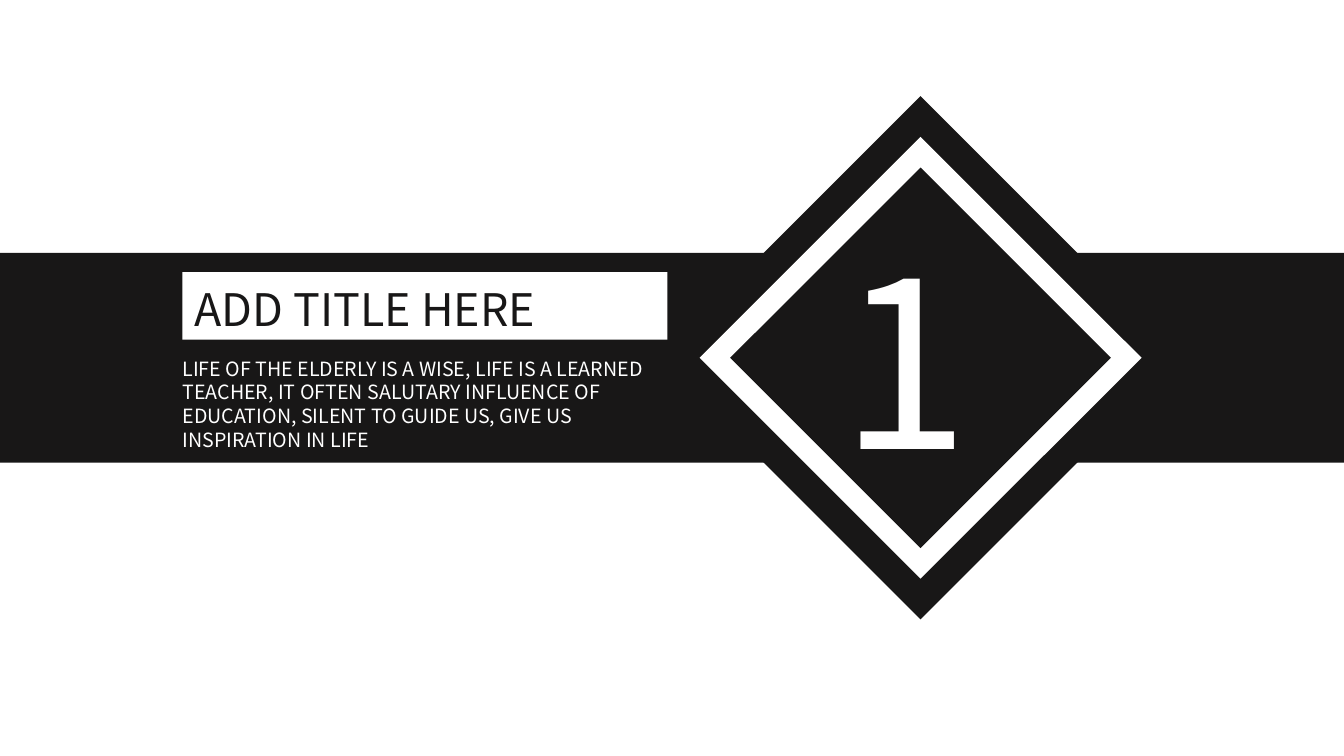
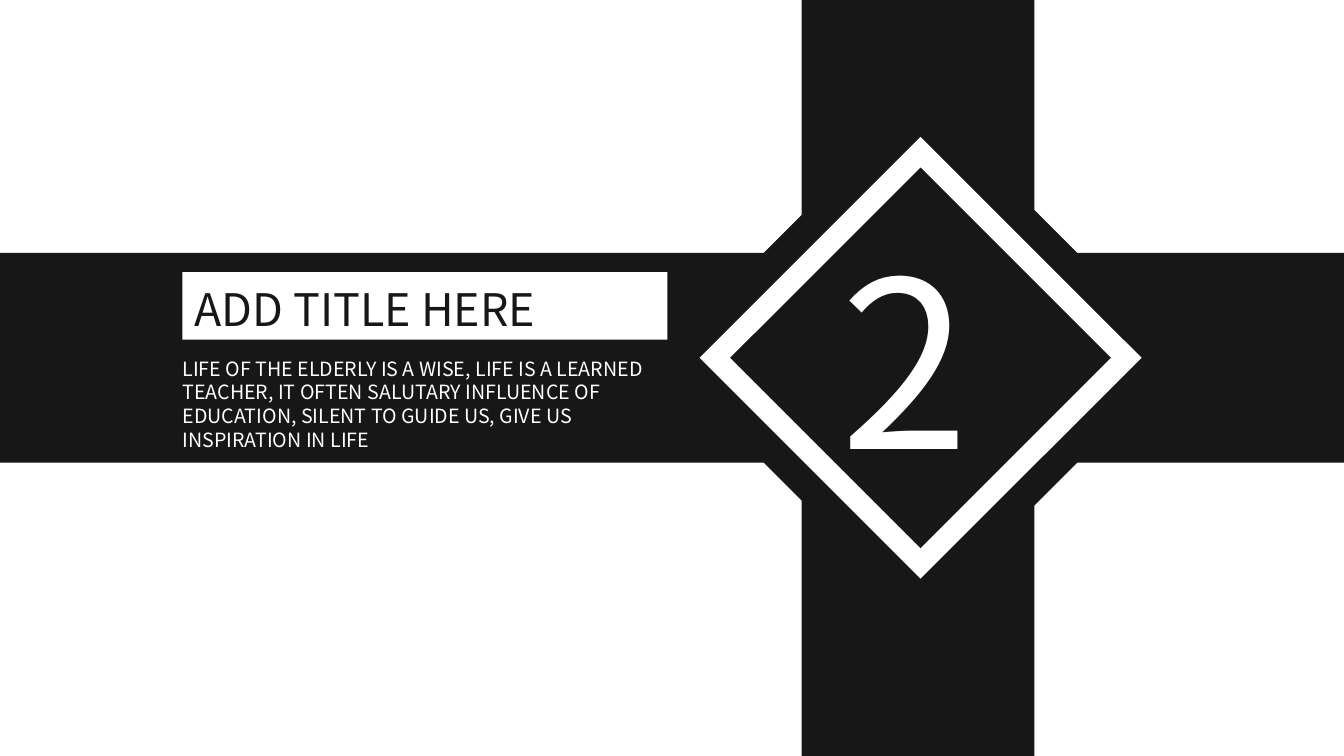
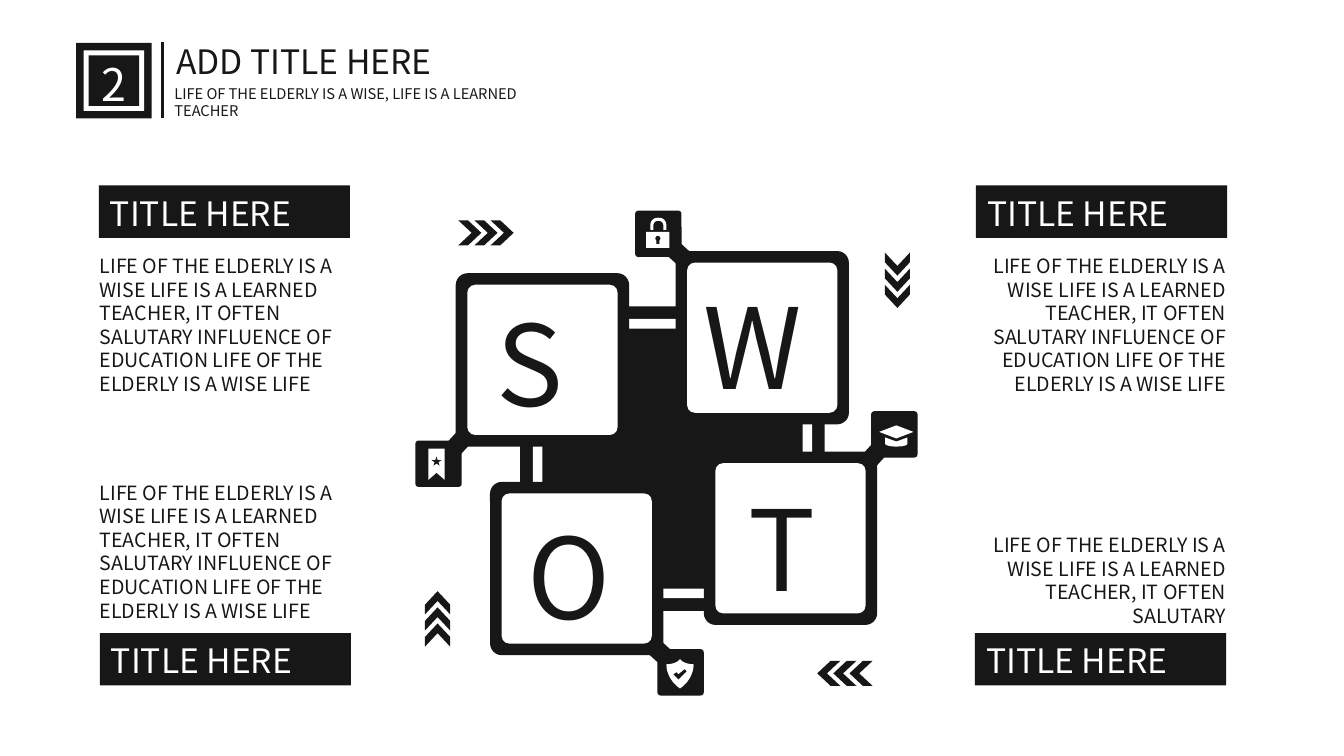
import math
from dataclasses import dataclass
from typing import Callable, NamedTuple

from lxml import etree
from pptx import Presentation
from pptx.dml.color import RGBColor
from pptx.enum.shapes import MSO_CONNECTOR, MSO_SHAPE
from pptx.enum.text import MSO_ANCHOR, MSO_AUTO_SIZE, PP_ALIGN
from pptx.oxml.ns import qn
from pptx.util import Inches, Pt

# Shared look
DARK, WHITE = "181717", "FFFFFF"
FONT = "Noto Sans CJK SC"
RECT, ROUND = MSO_SHAPE.RECTANGLE, MSO_SHAPE.ROUNDED_RECTANGLE
CHEVRON, DIAMOND = MSO_SHAPE.CHEVRON, MSO_SHAPE.DIAMOND
OVAL, STAR = MSO_SHAPE.OVAL, MSO_SHAPE.STAR_5_POINT
LEFT, CENTER, RIGHT = PP_ALIGN.LEFT, PP_ALIGN.CENTER, PP_ALIGN.RIGHT
TOP, NO_FIT = MSO_ANCHOR.TOP, MSO_AUTO_SIZE.NONE
STRAIGHT = MSO_CONNECTOR.STRAIGHT
LAYOUT_TITLE_AND_CONTENT = 1

# Wording
TITLE = "ADD TITLE HERE"
LEAD = "LIFE OF THE ELDERLY IS A WISE, LIFE IS A LEARNED TEACHER"
COVER_TEXT = (LEAD + ", IT OFTEN SALUTARY INFLUENCE OF EDUCATION, "
              "SILENT TO GUIDE US, GIVE US INSPIRATION IN LIFE")
SHORT_TEXT = ("LIFE OF THE ELDERLY IS A WISE LIFE IS A LEARNED TEACHER, "
              "IT OFTEN SALUTARY")
LONG_TEXT = (SHORT_TEXT + " INFLUENCE OF EDUCATION "
             "LIFE OF THE ELDERLY IS A WISE LIFE")

Point = tuple[float, float]


class Box(NamedTuple):
    left: float
    top: float
    width: float
    height: float


@dataclass(frozen=True)
class TextStyle:
    size: float
    color: str = DARK
    align: PP_ALIGN = LEFT
    inset_left: float = 0.1
    inset_top: float = 0.05


@dataclass(frozen=True)
class Panel:
    bar_left: float
    bar_top: float
    text_left: float
    text_top: float
    text_height: float
    text: str
    align: PP_ALIGN


@dataclass(frozen=True)
class Tile:
    letter: str
    center: Point
    letter_at: Point
    turns: int  # quarter turns clockwise of the badge around the tile
    draw_icon: Callable


# Basic drawing
def rgb(color: str) -> RGBColor:
    return RGBColor.from_string(color)


def centered(center: Point, width: float, height: float) -> Box:
    return Box(center[0] - width / 2, center[1] - height / 2, width, height)


def place(sp, box: Box) -> None:
    sp.left, sp.top, sp.width, sp.height = (Inches(v) for v in box)


def paint(sp, color: str) -> None:
    sp.shadow.inherit = False
    sp.fill.solid()
    sp.fill.fore_color.rgb = rgb(color)
    sp.line.fill.background()


def add_preset(s, kind, box: Box, color: str, rotation: float = 0,
               adj: float | None = None):
    sp = s.shapes.add_shape(kind, *(Inches(v) for v in box))
    paint(sp, color)
    sp.rotation = rotation
    if adj is not None:
        sp.adjustments[0] = adj
    return sp


def add_polygon(s, points: list[Point], color: str) -> None:
    corners = [(Inches(x), Inches(y)) for x, y in points]
    builder = s.shapes.build_freeform(*corners[0], scale=1.0)
    builder.add_line_segments(corners[1:], close=True)
    paint(builder.convert_to_shape(), color)


def write(sp, text: str, style: TextStyle) -> None:
    tf = sp.text_frame
    tf.word_wrap = True
    tf.auto_size = NO_FIT
    tf.vertical_anchor = TOP
    tf.margin_left = Inches(style.inset_left)
    tf.margin_top = Inches(style.inset_top)
    p = tf.paragraphs[0]
    p.alignment = style.align
    r = p.add_run()
    r.text = text
    r.font.size = Pt(style.size)
    r.font.name = FONT
    r.font.color.rgb = rgb(style.color)


def add_text(s, box: Box, text: str, style: TextStyle) -> None:
    write(s.shapes.add_textbox(*(Inches(v) for v in box)), text, style)


def fill_placeholder(s, index: int, box: Box, text: str, style: TextStyle):
    """Move a placeholder to the front and write it without bullet or gap."""
    sp = s.placeholders[index]
    s.shapes.element.append(sp.element)
    place(sp, box)
    p = sp.text_frame.paragraphs[0]
    pPr = p._p.get_or_add_pPr()
    pPr.set("marL", "0")
    pPr.set("indent", "0")
    etree.SubElement(pPr, qn("a:buNone"))
    p.space_before = Pt(0)
    write(sp, text, style)
    return sp


def nested_squares(s, center: Point, sizes: tuple[float, ...],
                   rotation: float = 0) -> None:
    """Dark, white and dark squares around one centre."""
    for size, color in zip(sizes, (DARK, WHITE, DARK)):
        add_preset(s, RECT, centered(center, size, size), color, rotation)


# Icon outlines
def curve(a: Point, b: Point, c: Point, d: Point, steps: int = 8) -> list[Point]:
    """Points on a cubic Bezier curve."""
    points = []
    for i in range(steps + 1):
        t = i / steps
        u = 1 - t
        weights = (u ** 3, 3 * u * u * t, 3 * u * t * t, t ** 3)
        points.append((sum(w * q[0] for w, q in zip(weights, (a, b, c, d))),
                       sum(w * q[1] for w, q in zip(weights, (a, b, c, d)))))
    return points


def mirrored(half: list[Point], axis: float) -> list[Point]:
    return half + [(2 * axis - x, y) for x, y in reversed(half)]


def draw_lock(s) -> None:
    outer = curve((6.53, 2.16), (6.48, 2.16), (6.45, 2.19), (6.45, 2.24))
    inner = curve((6.48, 2.24), (6.48, 2.21), (6.5, 2.19), (6.53, 2.19))
    shackle = outer + [(6.45, 2.28), (6.48, 2.28)] + inner
    add_polygon(s, mirrored(shackle, 6.53), WHITE)
    add_preset(s, RECT, Box(6.41, 2.3, 0.23, 0.16), WHITE)
    add_preset(s, OVAL, Box(6.5, 2.34, 0.05, 0.05), DARK)
    add_preset(s, RECT, Box(6.51, 2.38, 0.03, 0.04), DARK)


def draw_graduation_cap(s) -> None:
    add_preset(s, DIAMOND, Box(8.72, 4.22, 0.34, 0.13), WHITE)
    rim = curve((8.78, 4.4), (8.78, 4.42), (8.83, 4.43), (8.89, 4.43))
    add_polygon(s, mirrored([(8.89, 4.38), (8.78, 4.34)] + rim, 8.89), WHITE)


def draw_shield(s) -> None:
    axis = 6.745
    shoulder = curve((axis, 6.54), (6.71, 6.58), (6.65, 6.59), (6.61, 6.59))
    side = curve((6.61, 6.59), (6.61, 6.69), (6.67, 6.78), (axis, 6.83))
    add_polygon(s, mirrored(shoulder + side, axis), WHITE)
    check = [(6.73, 6.74), (6.68, 6.69), (6.71, 6.67),
             (6.73, 6.69), (6.79, 6.64), (6.81, 6.66)]
    add_polygon(s, check, DARK)


def draw_bookmark(s) -> None:
    ribbon = [(4.25, 4.45), (4.25, 4.76), (4.33, 4.69),
              (4.41, 4.76), (4.41, 4.45)]
    add_polygon(s, ribbon, WHITE)
    add_preset(s, STAR, Box(4.28, 4.53, 0.1, 0.09), DARK)


# Section slides
def add_section(prs, number: str, vertical_band: bool) -> None:
    s = prs.slides.add_slide(prs.slide_layouts[LAYOUT_TITLE_AND_CONTENT])
    if vertical_band:
        add_preset(s, RECT, Box(7.95, 0, 2.31, 7.5), DARK)
    add_preset(s, RECT, Box(0, 2.51, 13.33, 2.08), DARK)
    nested_squares(s, (9.13, 3.55), (3.67, 3.1, 2.67), rotation=45)
    add_text(s, Box(8.24, 2.1, 1.71, 2.89), number, TextStyle(166, WHITE))
    fill_placeholder(s, 1, Box(1.71, 3.49, 4.97, 1.04), COVER_TEXT,
                     TextStyle(14, WHITE))
    title = fill_placeholder(s, 0, Box(1.81, 2.7, 4.81, 0.67), TITLE,
                             TextStyle(32, inset_left=0.12, inset_top=0.09))
    paint(title, WHITE)


# SWOT slide
PANELS = (
    Panel(9.68, 1.84, 9.44, 2.47, 1.51, LONG_TEXT, RIGHT),
    Panel(9.67, 6.28, 9.44, 5.24, 1.04, SHORT_TEXT, RIGHT),
    Panel(0.99, 6.28, 0.89, 4.72, 1.51, LONG_TEXT, LEFT),
    Panel(0.98, 1.84, 0.89, 2.47, 1.51, LONG_TEXT, LEFT),
)
TILES = (
    Tile("W", (7.56, 3.35), (6.88, 2.7), 0, draw_lock),
    Tile("T", (7.84, 5.34), (7.33, 4.71), 1, draw_graduation_cap),
    Tile("O", (5.72, 5.64), (5.13, 4.99), 2, draw_shield),
    Tile("S", (5.38, 3.57), (4.83, 2.87), 3, draw_bookmark),
)
# Centre of each chevron trio and its direction in degrees
CHEVRON_TRIOS = (((4.82, 2.31), 0), ((8.9, 2.78), 90),
                 ((8.38, 6.68), 180), ((4.34, 6.14), 270))
CORNER_SIGNS = ((-1, -1), (1, -1), (1, 1), (-1, 1))


def add_header(s, number: str) -> None:
    nested_squares(s, (1.13, 0.8), (0.75, 0.6, 0.5))
    add_text(s, Box(0.85, 0.51, 0.57, 0.64), number,
             TextStyle(32, WHITE, CENTER))
    fill_placeholder(s, 0, Box(1.65, 0.36, 3.41, 0.5), TITLE, TextStyle(24))
    fill_placeholder(s, 1, Box(1.63, 0.79, 3.97, 0.45), LEAD, TextStyle(10.5))
    rule = s.shapes.add_connector(STRAIGHT, Inches(1.61), Inches(0.42),
                                  Inches(1.61), Inches(1.17))
    rule.line.color.rgb = rgb(DARK)
    rule.line.width = Pt(2.25)
    etree.SubElement(rule.element.spPr, qn("a:effectLst"))


def add_panel(s, panel: Panel) -> None:
    add_text(s, Box(panel.text_left, panel.text_top, 2.82, panel.text_height),
             panel.text, TextStyle(14, align=panel.align))
    bar = add_preset(s, RECT, Box(panel.bar_left, panel.bar_top, 2.49, 0.52),
                     DARK)
    write(bar, "TITLE HERE",
          TextStyle(24, WHITE, inset_left=0.11, inset_top=0.07))


def add_chevrons(s, center: Point, angle: int) -> None:
    dx, dy = math.cos(math.radians(angle)), math.sin(math.radians(angle))
    for step in (-0.16, 0, 0.16):
        middle = (center[0] + step * dx, center[1] + step * dy)
        add_preset(s, CHEVRON, centered(middle, 0.23, 0.25), DARK, angle, 0.582)


def add_tile(s, tile: Tile) -> None:
    sign_x, sign_y = CORNER_SIGNS[tile.turns]

    def toward_corner(distance: float) -> Point:
        return (tile.center[0] + sign_x * distance,
                tile.center[1] + sign_y * distance)

    turn = 90 * tile.turns
    add_preset(s, ROUND, centered(tile.center, 1.72, 1.72), DARK, turn, 0.068)
    add_preset(s, ROUND, centered(tile.center, 1.49, 1.49), WHITE, turn, 0.052)
    add_preset(s, ROUND, centered(toward_corner(1.03), 0.46, 0.46), DARK,
               turn, 0.068)
    add_preset(s, ROUND, centered(toward_corner(0.87), 0.37, 0.18), DARK,
               turn + 42.4)
    tile.draw_icon(s)
    add_text(s, Box(*tile.letter_at, 1.46, 1.45), tile.letter, TextStyle(80))


def add_swot(prs) -> None:
    s = prs.slides.add_slide(prs.slide_layouts[LAYOUT_TITLE_AND_CONTENT])
    add_header(s, "2")
    nested_squares(s, (6.67, 4.55), (3.02, 2.77, 2.58))
    for panel in PANELS:
        add_panel(s, panel)
    for center, angle in CHEVRON_TRIOS:
        add_chevrons(s, center, angle)
    for tile in TILES:
        add_tile(s, tile)


def main() -> None:
    prs = Presentation()
    prs.slide_width, prs.slide_height = Inches(13.33), Inches(7.5)
    add_section(prs, "1", vertical_band=False)
    add_section(prs, "2", vertical_band=True)
    add_swot(prs)
    prs.save("out.pptx")


if __name__ == "__main__":
    main()
